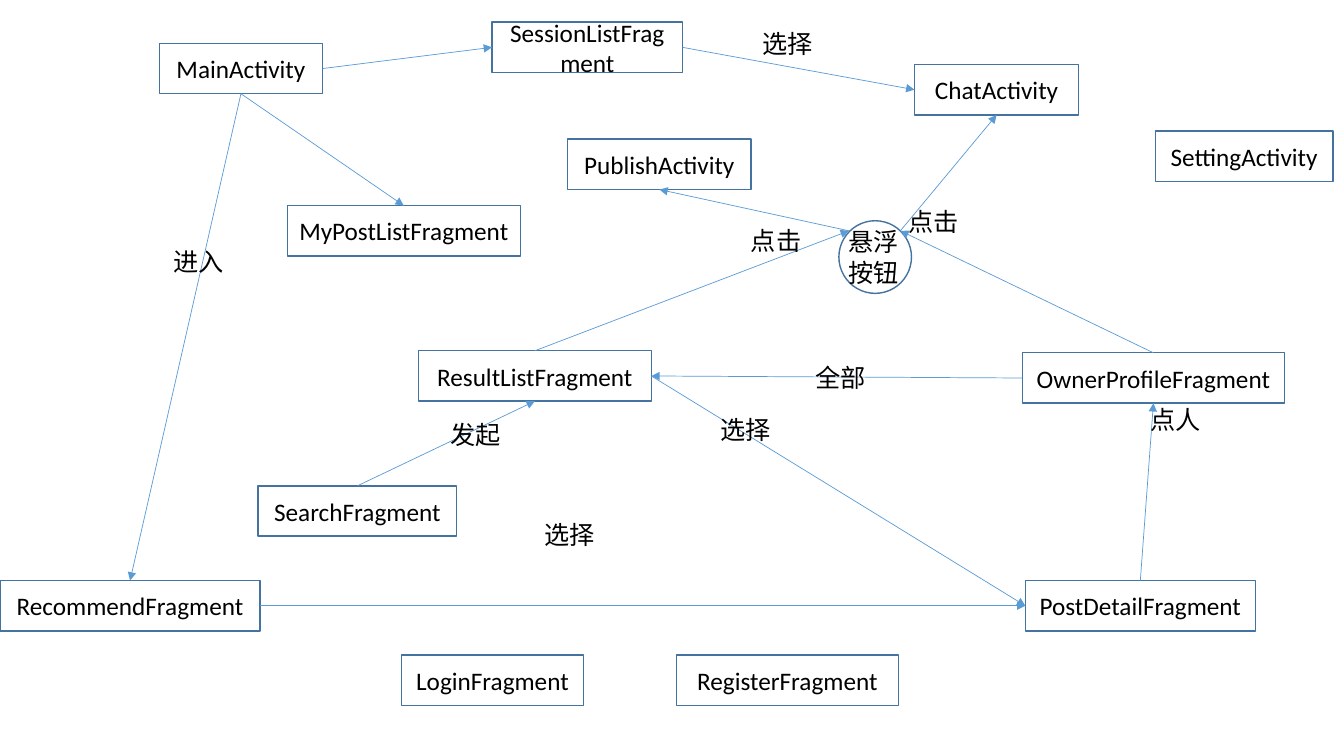
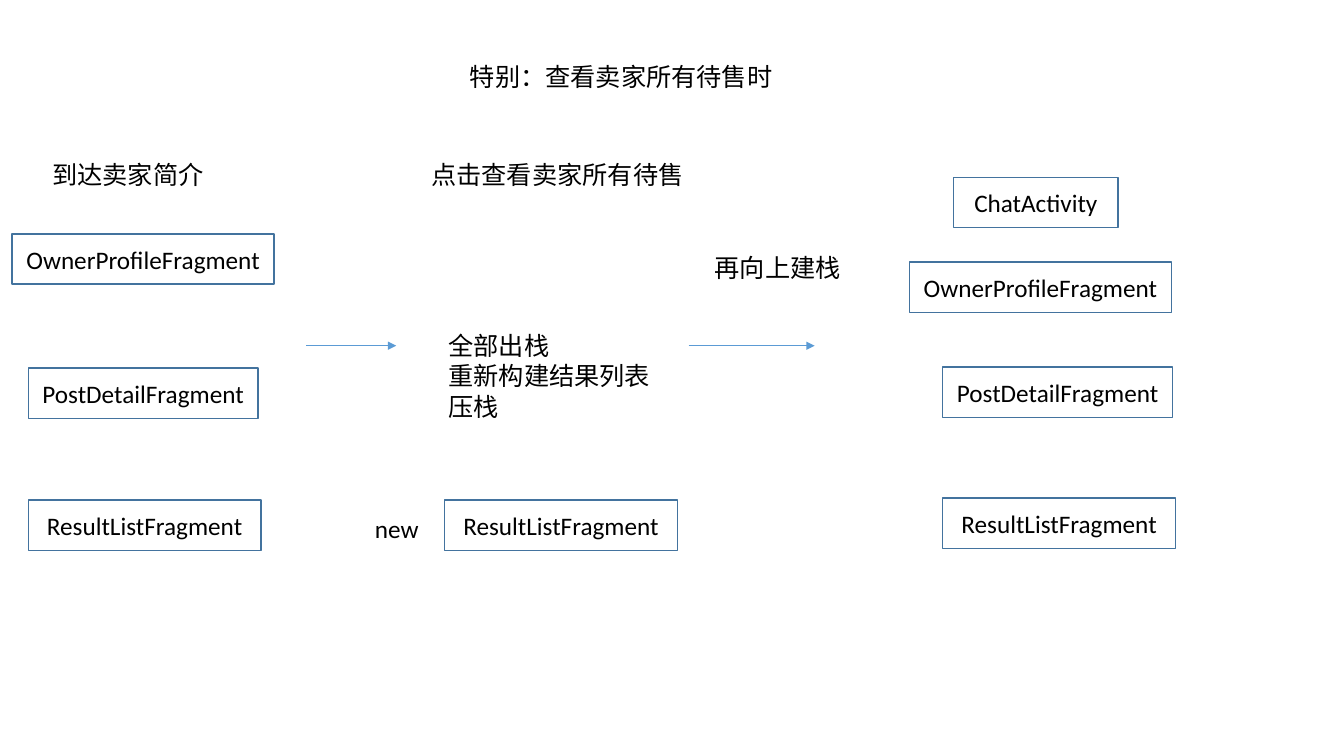
"""Build two slides on screen navigation and the page stack."""
from dataclasses import dataclass
from typing import Optional

from lxml import etree
from pptx import Presentation
from pptx import util as u
from pptx.dml.color import RGBColor
from pptx.enum import shapes, text
from pptx.oxml.ns import qn

BLACK = RGBColor(0x00, 0x00, 0x00)
BOX_LINE = RGBColor(0x43, 0x73, 0x9E)
ARROW_LINE = RGBColor(0x5B, 0x9B, 0xD5)
FONT = "Calibri"
TEXT_SIZE = u.Pt(18)
BOX_HEIGHT = 0.5
LABEL_HEIGHT = 0.4
TOP, LEFT, BOTTOM, RIGHT = range(4)

BOX_WIDTHS = {
    "MainActivity": 1.62,
    "SettingActivity": 1.76,
    "PublishActivity": 1.82,
    "ChatActivity": 1.63,
    "LoginFragment": 1.81,
    "RegisterFragment": 2.2,
    "RecommendFragment": 2.58,
    "ResultListFragment": 2.31,
    "PostDetailFragment": 2.28,
    "SearchFragment": 1.97,
    "OwnerProfileFragment": 2.6,
    "SessionListFragment": 1.89,
    "MyPostListFragment": 2.31,
}


@dataclass(frozen=True)
class Box:
    name: str
    left: float
    top: float


@dataclass(frozen=True)
class Label:
    words: str
    left: float
    top: float
    width: float
    height: float = LABEL_HEIGHT


@dataclass(frozen=True)
class End:
    x: float = 0
    y: float = 0
    box: Optional[str] = None
    side: int = TOP


@dataclass(frozen=True)
class Arrow:
    start: End
    end: End


def at(box: str, side: int) -> End:
    return End(box=box, side=side)


BUTTON_LEFT, BUTTON_TOP, BUTTON_SIZE = 8.32, 2.19, 0.72
BUTTON_UPPER_LEFT = End(8.42, 2.29)
BUTTON_UPPER_RIGHT = End(8.93, 2.29)

SCREENS = [
    Box("MainActivity", 1.58, 0.43),
    Box("SettingActivity", 11.46, 1.3),
    Box("PublishActivity", 5.63, 1.38),
    Box("ChatActivity", 9.07, 0.64),
    Box("LoginFragment", 3.98, 6.5),
    Box("RegisterFragment", 6.71, 6.5),
    Box("RecommendFragment", 0, 5.76),
    Box("ResultListFragment", 4.15, 3.48),
    Box("PostDetailFragment", 10.17, 5.76),
    Box("SearchFragment", 2.56, 4.82),
    Box("OwnerProfileFragment", 10.14, 3.5),
    Box("SessionListFragment", 4.88, 0.22),
    Box("MyPostListFragment", 2.85, 2.04),
]

SCREEN_ARROWS = [
    Arrow(at("SearchFragment", TOP), at("ResultListFragment", BOTTOM)),
    Arrow(at("MainActivity", BOTTOM), at("RecommendFragment", TOP)),
    Arrow(at("MainActivity", BOTTOM), at("MyPostListFragment", TOP)),
    Arrow(at("MainActivity", RIGHT), at("SessionListFragment", LEFT)),
    Arrow(at("SessionListFragment", RIGHT), at("ChatActivity", LEFT)),
    Arrow(BUTTON_UPPER_RIGHT, at("ChatActivity", BOTTOM)),
    Arrow(BUTTON_UPPER_LEFT, at("PublishActivity", BOTTOM)),
    Arrow(at("ResultListFragment", RIGHT), at("PostDetailFragment", LEFT)),
    Arrow(at("RecommendFragment", RIGHT), at("PostDetailFragment", LEFT)),
    Arrow(at("OwnerProfileFragment", TOP), BUTTON_UPPER_RIGHT),
    Arrow(at("PostDetailFragment", TOP), at("OwnerProfileFragment", BOTTOM)),
    Arrow(at("OwnerProfileFragment", LEFT), at("ResultListFragment", RIGHT)),
    Arrow(at("ResultListFragment", TOP), BUTTON_UPPER_LEFT),
]

SCREEN_LABELS = [
    Label("进入", 1.62, 2.39, 0.78),
    Label("选择", 5.3, 5.1, 0.83),
    Label("发起", 4.37, 4.11, 0.71),
    Label("选择", 7.05, 4.06, 0.94),
    Label("点击", 7.35, 2.19, 0.77),
    Label("点人", 11.31, 3.96, 0.76),
    Label("全部", 7.99, 3.55, 0.78),
    Label("点击", 8.91, 2, 0.8),
    Label("悬浮按钮", BUTTON_LEFT, 2.2, 0.83, 0.71),
    Label("选择", 7.46, 0.23, 0.86),
]

STACK_TITLE = Label("特别：查看卖家所有待售时", 4.56, 0.56, 4.79)

STACK_BOXES = [
    Box("OwnerProfileFragment", 0.12, 2.32),
    Box("PostDetailFragment", 0.28, 3.65),
    Box("ResultListFragment", 0.28, 4.96),
    Box("ResultListFragment", 4.41, 4.96),
    Box("ChatActivity", 9.46, 1.76),
    Box("OwnerProfileFragment", 9.02, 2.6),
    Box("PostDetailFragment", 9.35, 3.64),
    Box("ResultListFragment", 9.35, 4.94),
]

STACK_ARROWS = [
    Arrow(End(3.04, 3.43), End(3.93, 3.43)),
    Arrow(End(6.83, 3.43), End(8.08, 3.43)),
]

STACK_LABELS = [
    Label("到达卖家简介", 0.42, 1.53, 2.01),
    Label("点击查看卖家所有待售", 4.18, 1.53, 2.81),
    Label("全部出栈\n重新构建结果列表压栈", 4.35, 3.23, 2.38, 1.01),
    Label("new", 3.62, 5.04, 0.93),
    Label("再向上建栈", 6.99, 2.45, 1.92),
]


def write(tf, words: str, align, anchor) -> None:
    tf.word_wrap = True
    tf.vertical_anchor = anchor
    for i, line in enumerate(words.split("\n")):
        p = tf.add_paragraph() if i else tf.paragraphs[0]
        p.alignment = align
        r = p.add_run()
        r.text = line
        r.font.name = FONT
        r.font.size = TEXT_SIZE
        r.font.color.rgb = BLACK


def add_outline(s, kind, left: float, top: float, width: float, height: float):
    sp = s.shapes.add_shape(
        kind, u.Inches(left), u.Inches(top), u.Inches(width), u.Inches(height))
    sp.shadow.inherit = False
    sp.fill.background()
    sp.line.color.rgb = BOX_LINE
    sp.line.width = u.Pt(1)
    return sp


def add_box(s, box: Box):
    sp = add_outline(s, shapes.MSO_SHAPE.RECTANGLE, box.left, box.top,
                     BOX_WIDTHS[box.name], BOX_HEIGHT)
    write(sp.text_frame, box.name, text.PP_ALIGN.CENTER, text.MSO_ANCHOR.MIDDLE)
    return sp


def add_label(s, label: Label) -> None:
    sp = s.shapes.add_textbox(u.Inches(label.left), u.Inches(label.top),
                              u.Inches(label.width), u.Inches(label.height))
    write(sp.text_frame, label.words, text.PP_ALIGN.LEFT, text.MSO_ANCHOR.TOP)


def set_title(s, label: Label) -> None:
    sp = s.shapes.title
    sp.left, sp.top = u.Inches(label.left), u.Inches(label.top)
    sp.width, sp.height = u.Inches(label.width), u.Inches(label.height)
    sp.text_frame.auto_size = text.MSO_AUTO_SIZE.NONE
    write(sp.text_frame, label.words, text.PP_ALIGN.LEFT, text.MSO_ANCHOR.TOP)


def add_arrow(s, arrow: Arrow, boxes: dict) -> None:
    start, end = arrow.start, arrow.end
    line = s.shapes.add_connector(
        shapes.MSO_CONNECTOR.STRAIGHT, u.Inches(start.x), u.Inches(start.y),
        u.Inches(end.x), u.Inches(end.y))
    if start.box:
        line.begin_connect(boxes[start.box], start.side)
    if end.box:
        line.end_connect(boxes[end.box], end.side)
    line.line.color.rgb = ARROW_LINE
    line.line.width = u.Pt(0.5)
    etree.SubElement(line.line._get_or_add_ln(), qn("a:tailEnd"), type="triangle")
    etree.SubElement(line._element.spPr, qn("a:effectLst"))


def draw(s, boxes: list[Box], arrows: list[Arrow], labels: list[Label]) -> None:
    drawn = {box.name: add_box(s, box) for box in boxes}
    for arrow in arrows:
        add_arrow(s, arrow, drawn)
    for label in labels:
        add_label(s, label)


def main() -> None:
    prs = Presentation()
    prs.slide_width, prs.slide_height = u.Inches(13.33), u.Inches(7.5)
    title_only, blank = prs.slide_layouts[5], prs.slide_layouts[6]

    s = prs.slides.add_slide(blank)
    add_outline(s, shapes.MSO_SHAPE.OVAL, BUTTON_LEFT, BUTTON_TOP,
                BUTTON_SIZE, BUTTON_SIZE)
    draw(s, SCREENS, SCREEN_ARROWS, SCREEN_LABELS)

    s = prs.slides.add_slide(title_only)
    set_title(s, STACK_TITLE)
    draw(s, STACK_BOXES, STACK_ARROWS, STACK_LABELS)

    prs.save("out.pptx")


if __name__ == "__main__":
    main()
